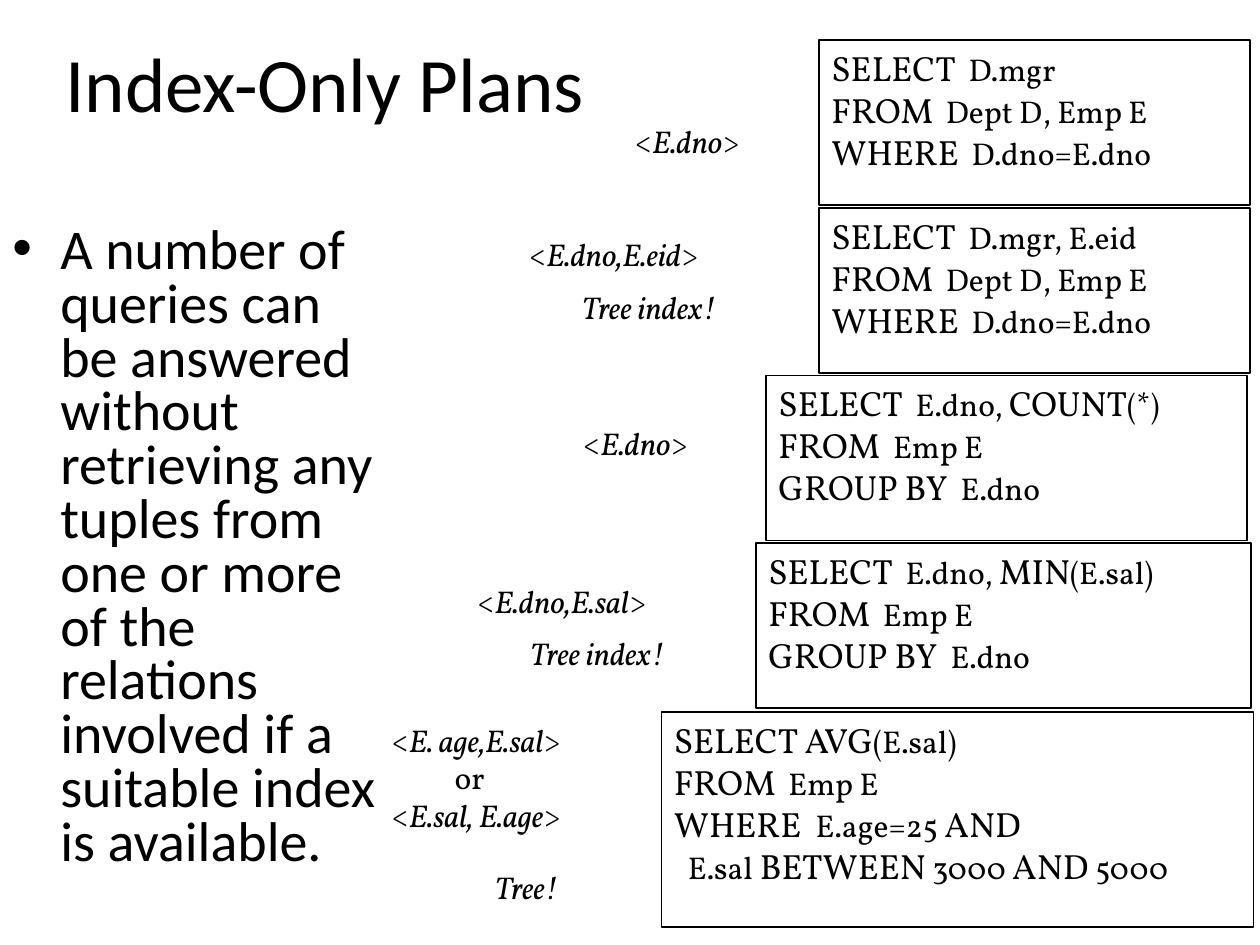
import pptx
import pptx.util
import pptx.dml.color
import pptx.enum.shapes
import pptx.enum.text
import pptx.oxml
import pptx.oxml.ns

Inches = pptx.util.Inches
Pt = pptx.util.Pt


def color(code):
    return pptx.dml.color.RGBColor.from_string(code)


def write(shape, lines, styles, face="Vollkorn"):
    frame = shape.text_frame
    frame.word_wrap = True
    frame.vertical_anchor = pptx.enum.text.MSO_ANCHOR.TOP
    for row, line in enumerate(lines):
        para = frame.paragraphs[0] if row == 0 else frame.add_paragraph()
        para.alignment = pptx.enum.text.PP_ALIGN.LEFT
        for turn, part in enumerate(line.split("|")):
            if part:
                run = para.add_run()
                run.text = part
                size, slant = styles[turn % len(styles)]
                run.font.size = Pt(size)
                run.font.italic = slant
                run.font.name = face
                run.font.color.rgb = color("000000")
    return frame


deck = pptx.Presentation()
deck.slide_width = Inches(10)
deck.slide_height = Inches(7.5)
slide = deck.slides.add_slide(deck.slide_layouts[6])
shapes = slide.shapes

title = shapes.add_textbox(Inches(0.33), Inches(0.04), Inches(4.5), Inches(1.21))
frame = write(title, ["Index-Only Plans"], [(44, False)], "Calibri")
frame.vertical_anchor = pptx.enum.text.MSO_ANCHOR.MIDDLE
frame.paragraphs[0].alignment = pptx.enum.text.PP_ALIGN.CENTER

body = shapes.add_textbox(Inches(0), Inches(1.75), Inches(3.08), Inches(5.5))
claim = (
    "A number of queries can be answered without retrieving any tuples "
    "from one or more of the relations involved if a suitable index is available."
)
frame = write(body, [claim], [(32, False)], "Calibri")
frame.margin_right = Inches(0.05)
para = frame.paragraphs[0]
para.line_spacing = 0.8
props = para._p.get_or_add_pPr()
props.set("marL", str(Inches(0.38)))
props.set("indent", str(-Inches(0.38)))
for xml in ('<a:buFont %s typeface="Arial"/>', '<a:buChar %s char="•"/>'):
    props.append(pptx.oxml.parse_xml(xml % pptx.oxml.ns.nsdecls("a")))

join = ["FROM|  Dept D, Emp E", "WHERE|  D.dno=E.dno"]
group = ["FROM|  Emp E", "GROUP BY  |E.dno"]
queries = [
    (6.5, 0.32, 3.42, 1.31, ["SELECT|  D.mgr"] + join),
    (6.5, 1.65, 3.42, 1.31, ["SELECT|  D.mgr, E.eid"] + join),
    (6.08, 2.98, 3.82, 1.31, ["SELECT|  E.dno, |COUNT|(*)"] + group),
    (6, 4.31, 3.93, 1.31, ["SELECT|  E.dno, |MIN|(E.sal)"] + group),
    (5.25, 5.65, 4.7, 1.71, [
        "SELECT| |AVG|(E.sal)",
        "FROM|  Emp E",
        "WHERE  |E.age=25 |AND",
        "  |E.sal| BETWEEN| 3000 |AND |5000",
    ]),
]
for left, top, width, height, lines in queries:
    box = shapes.add_shape(
        pptx.enum.shapes.MSO_SHAPE.RECTANGLE,
        Inches(left), Inches(top), Inches(width), Inches(height),
    )
    box.shadow.inherit = False
    box.fill.background()
    box.line.color.rgb = color("000000")
    box.line.width = Pt(1)
    write(box, lines, [(20, False), (18, False)])

labels = [
    (4.94, 0.92, 1.39, 0.5, ["<|E.dno|>"]),
    (4.1, 1.82, 2.15, 0.5, ["<|E.dno,E.eid|>"]),
    (4.52, 2.24, 1.73, 0.5, ["|Tree index!"]),
    (4.53, 3.32, 1.39, 0.5, ["<|E.dno|>"]),
    (3.69, 4.57, 2.13, 0.5, ["<|E.dno,E.sal|>"]),
    (4.11, 4.98, 1.73, 0.5, ["|Tree index!"]),
    (3.01, 5.67, 2.16, 1.3, ["<|E. age,E.sal|>", "or", "<|E.sal, E.age|>"]),
    (3.83, 6.84, 0.9, 0.5, ["|Tree!"]),
]
for left, top, width, height, lines in labels:
    note = shapes.add_textbox(Inches(left), Inches(top), Inches(width), Inches(height))
    frame = write(note, lines, [(18, False), (18, True)])
    for para in frame.paragraphs:
        if para.text == "or":
            para._p.get_or_add_pPr().set("marL", str(Inches(0.5)))

deck.save("out.pptx")
